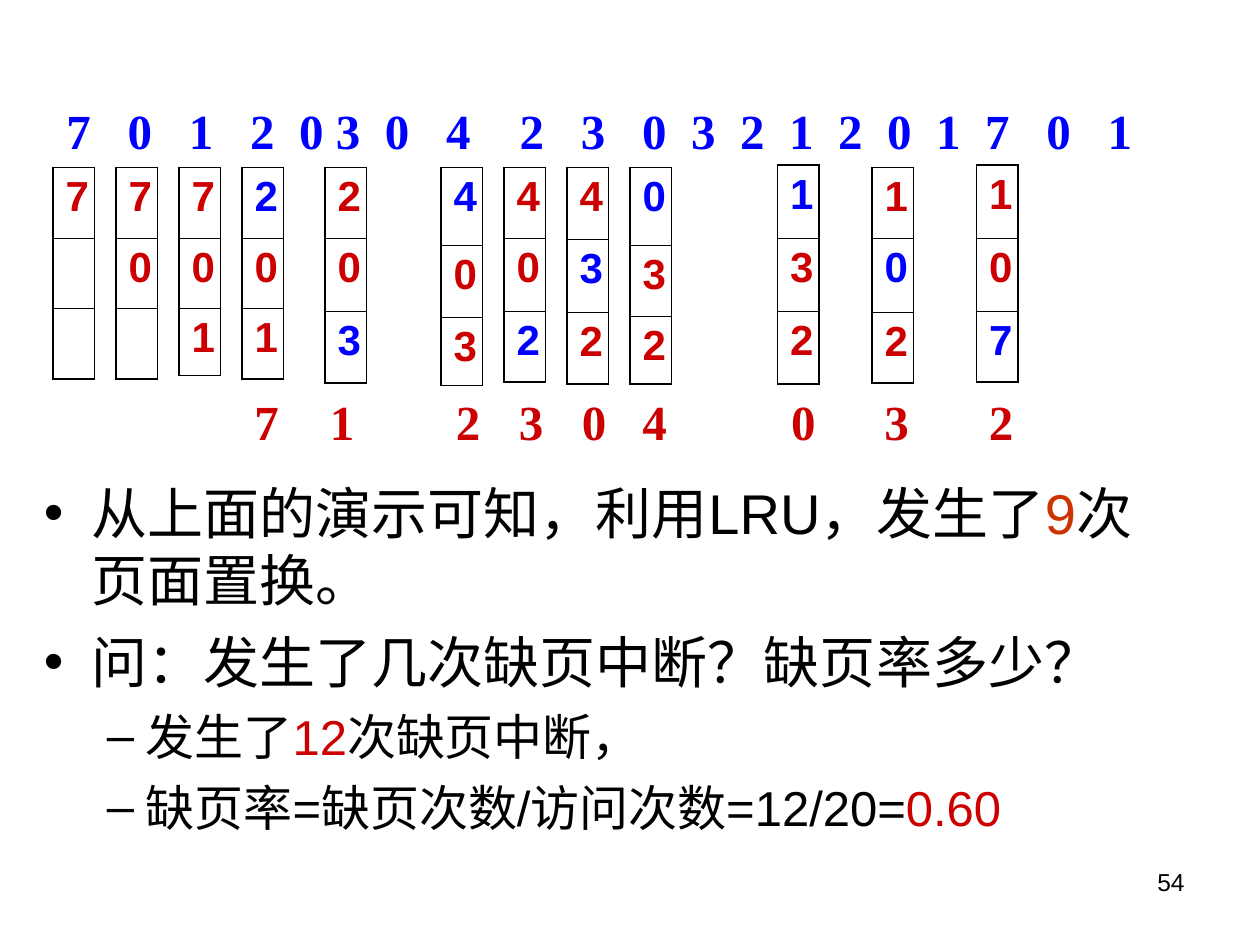
"""Build the LRU page replacement slide: frame columns, evicted pages and conclusions."""
from lxml import etree
from pptx import Presentation
from pptx.dml.color import RGBColor
from pptx.enum.text import PP_ALIGN
from pptx.oxml.ns import qn
from pptx.util import Inches, Pt

LEFT, CENTER, RIGHT = PP_ALIGN.LEFT, PP_ALIGN.CENTER, PP_ALIGN.RIGHT
BLACK, RED, BLUE, ORANGE = "000000", "CC0000", "0000FF", "CC3300"
SANS, SERIF = "Arial", "Times New Roman"

REFERENCES = "70120304230321201701"
GAPS = [3, 3, 3, 2, 1, 2, 3, 4, 3, 3, 2, 2, 2, 2, 2, 2, 2, 3, 3]
SPACE = 7

# left, top, row heights, pages, row of the page just loaded, evicted page, its left
FRAMES = [
    (0.42, 1.33, (0.56, 0.56, 0.56), "7", None, "", 0),
    (0.92, 1.33, (0.56, 0.56, 0.56), "70", None, "", 0),
    (1.42, 1.33, (0.56, 0.56, 0.53), "701", None, "", 0),
    (1.92, 1.33, (0.56, 0.56, 0.56), "201", 0, "7", 1.92),
    (2.58, 1.33, (0.56, 0.58, 0.57), "203", 2, "1", 2.52),
    (3.5, 1.33, (0.62, 0.57, 0.54), "403", 0, "2", 3.52),
    (4, 1.33, (0.56, 0.58, 0.56), "402", 2, "3", 4.02),
    (4.5, 1.33, (0.57, 0.58, 0.57), "432", 1, "0", 4.52),
    (5, 1.33, (0.62, 0.56, 0.54), "032", 0, "4", 5),
    (6.17, 1.31, (0.58, 0.58, 0.58), "132", 0, "0", 6.18),
    (6.92, 1.33, (0.56, 0.59, 0.56), "102", 1, "3", 6.92),
    (7.75, 1.31, (0.58, 0.58, 0.56), "107", 2, "2", 7.75),
]

POINTS = [
    (0, [("从上面的演示可知，利用LRU，发生了", BLACK), ("9", ORANGE), ("次页面置换。", BLACK)]),
    (0, [("问：发生了几次缺页中断？缺页率多少？", BLACK)]),
    (1, [("发生了", BLACK), ("12", RED), ("次缺页中断，", BLACK)]),
    (1, [("缺页率=缺页次数/访问次数=12/20=", BLACK), ("0.60", RED)]),
]
LEVELS = [("•", 32, 0.38, 0.38, 8), ("–", 28, 0.81, 0.31, 7)]


def rgb(color):
    """Turn a hex string into a colour."""
    return RGBColor.from_string(color)


def add_run(p, text, size, color, font=SANS, bold=False):
    """Append one formatted run."""
    r = p.add_run()
    r.text = text
    r.font.size, r.font.name, r.font.bold = Pt(size), font, bold
    r.font.color.rgb = rgb(color)


def add_box(s, x, y, w, h, align=LEFT, wrap=True):
    """Add a text box and return its frame and first paragraph."""
    tf = s.shapes.add_textbox(Inches(x), Inches(y), Inches(w), Inches(h)).text_frame
    tf.word_wrap = wrap
    p = tf.paragraphs[0]
    p.alignment = align
    return tf, p


def add_border(tcPr, side, width):
    """Give one side of a cell a black line."""
    ln = etree.SubElement(tcPr, qn("a:" + side), w=str(Pt(width)))
    fill = etree.SubElement(ln, qn("a:solidFill"))
    etree.SubElement(fill, qn("a:srgbClr"), val=BLACK)


def add_references(s):
    """Write the reference string on tab stops."""
    tf, p = add_box(s, 0.33, 0.75, 9.17, 0.57)
    tf.margin_left = Inches(0.1) + Pt(SPACE)
    tabs = etree.SubElement(p._p.get_or_add_pPr(), qn("a:tabLst"))
    stop = 0
    for gap in GAPS:
        stop += (gap + 2) * SPACE
        etree.SubElement(tabs, qn("a:tab"), pos=str(Pt(stop)), algn="l")
    add_run(p, "\t".join(REFERENCES), 28, BLUE, SERIF, True)


def add_frames(s, x, y, heights, pages, loaded):
    """Add one column of page frames as a table."""
    table = s.shapes.add_table(len(heights), 1, Inches(x), Inches(y),
                               Inches(0.33), Inches(sum(heights))).table
    table.first_row = table.horz_banding = False
    last = len(heights) - 1
    for i, height in enumerate(heights):
        table.rows[i].height = Inches(height)
        cell = table.cell(i, 0)
        tcPr = cell._tc.get_or_add_tcPr()
        for side, width in [("lnL", 1.08), ("lnR", 1.08),
                            ("lnT", 0.45 if i else 1.08),
                            ("lnB", 0.45 if i < last else 1.08)]:
            add_border(tcPr, side, width)
        cell.fill.background()
        if i < len(pages):
            add_run(cell.text_frame.paragraphs[0], pages[i], 24,
                    BLUE if i == loaded else RED, bold=True)


def add_points(s):
    """Write the bulleted conclusions."""
    tf, p = add_box(s, 0.25, 3.75, 9, 3)
    for i, (level, runs) in enumerate(POINTS):
        bullet, size, margin, hang, before = LEVELS[level]
        if i:
            p = tf.add_paragraph()
        pPr = p._p.get_or_add_pPr()
        pPr.set("marL", str(Inches(margin)))
        pPr.set("indent", str(-Inches(hang)))
        color = etree.SubElement(pPr, qn("a:buClr"))
        etree.SubElement(color, qn("a:srgbClr"), val=BLACK)
        etree.SubElement(pPr, qn("a:buFont"), typeface=SANS)
        etree.SubElement(pPr, qn("a:buChar"), char=bullet)
        p.level = level
        if i:
            p.space_before = Pt(before)
        for text, color in runs:
            add_run(p, text, size, color)


def main():
    """Assemble and save the slide."""
    prs = Presentation()
    prs.slide_width, prs.slide_height = Inches(10), Inches(7.5)
    s = prs.slides.add_slide(prs.slide_layouts[6])
    add_references(s)
    for x, y, heights, pages, loaded, evicted, evicted_x in FRAMES:
        add_frames(s, x, y, heights, pages, loaded)
        if evicted:
            tf, p = add_box(s, evicted_x, 3.06, 0.39, 0.57, CENTER, False)
            add_run(p, evicted, 28, RED, SERIF, True)
    add_points(s)
    tf, p = add_box(s, 7.17, 6.83, 2.33, 0.52, RIGHT)
    add_run(p, "54", 14, BLACK)
    prs.save("out.pptx")


if __name__ == "__main__":
    main()
